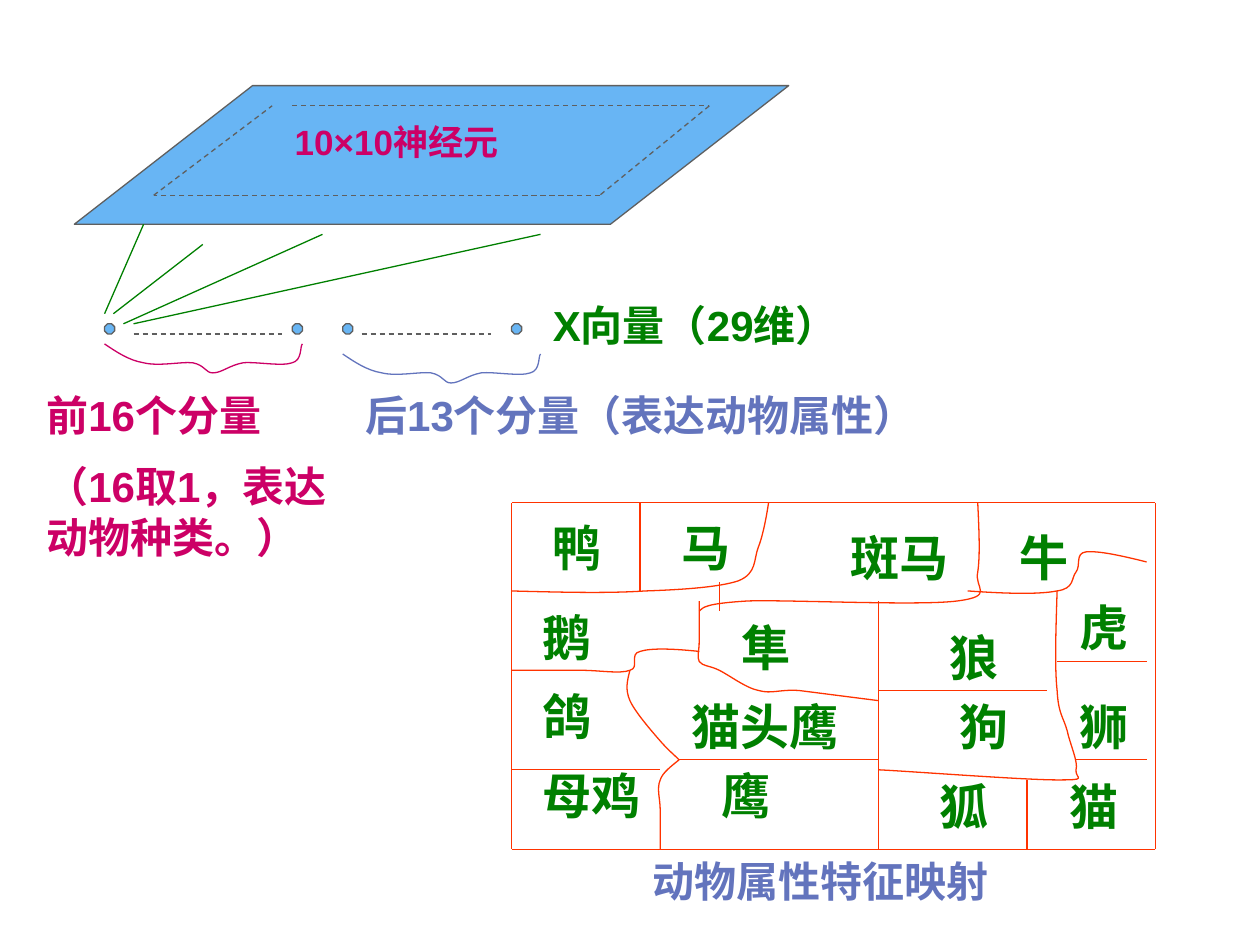
from itertools import pairwise

from lxml.etree import SubElement
from pptx import Presentation
from pptx.dml.color import RGBColor
from pptx.enum.dml import MSO_LINE_DASH_STYLE as DASH
from pptx.enum.shapes import MSO_CONNECTOR, MSO_SHAPE
from pptx.enum.text import MSO_AUTO_SIZE
from pptx.oxml.ns import qn
from pptx.util import Inches, Pt

BLUE, GRAY, GREEN = "68B5F4", "5F5F5F", "008000"
PINK, VIOLET, RED = "CC0066", "6374BD", "FF3300"

INNER_OUTLINE = [(2.32, 0.84), (5.63, 0.84), (4.76, 1.55), (1.22, 1.55), (2.16, 0.84)]
INPUT_NODES = [0.83, 2.32, 2.72, 4.06]
OMITTED_NODES = [((1.06, 2.65), (2.24, 2.65)), ((2.87, 2.65), (3.9, 2.65))]
WEIGHTS = [((0.83, 2.49), (1.14, 1.78)), ((0.9, 2.49), (1.61, 1.94)),
           ((0.98, 2.57), (2.56, 1.86)), ((1.06, 2.57), (4.29, 1.86))]
BRACE = [(0, 0), (0.09, 0.06), (0.19, 0.13), (0.31, 0.15), (0.43, 0.18), (0.61, 0.14),
         (0.7, 0.15), (0.8, 0.17), (0.8, 0.23), (0.86, 0.23), (0.93, 0.23), (0.99, 0.17),
         (1.1, 0.15), (1.2, 0.14), (1.41, 0.18), (1.49, 0.15), (1.57, 0.13), (1.55, 0.02),
         (1.57, 0)]

MAP_FRAME = [(4.06, 3.99), (9.17, 3.99), (9.17, 6.74), (4.06, 6.74), (4.06, 3.99)]
STRAIGHT_BORDERS = [
    ((5.08, 3.99), (5.08, 4.69)), ((5.71, 4.62), (5.71, 4.85)),
    ((6.97, 4.77), (6.97, 6.74)), ((6.97, 5.48), (8.31, 5.48)),
    ((8.15, 6.19), (8.15, 6.74)), ((8.54, 6.03), (9.1, 6.03)),
    ((8.39, 5.25), (9.1, 5.25)), ((6.97, 6.03), (5.39, 6.03)),
    ((4.06, 6.11), (5.24, 6.11))]
CURVED_BORDERS = [
    [(4.06, 4.69), (4.44, 4.7), (4.82, 4.71), (5.12, 4.69), (5.42, 4.68), (5.71, 4.66),
     (5.86, 4.61), (6.01, 4.55), (5.98, 4.44), (6.02, 4.34), (6.06, 4.24), (6.09, 4.06),
     (6.1, 3.99)],
    [(5.55, 4.85), (5.58, 4.82), (5.6, 4.79), (5.94, 4.77), (6.28, 4.76), (7.3, 4.81),
     (7.6, 4.77), (7.9, 4.73), (7.73, 4.67), (7.76, 4.54), (7.78, 4.41), (7.77, 4.2),
     (7.76, 3.99)],
    [(9.1, 4.46), (8.9, 4.41), (8.72, 4.37), (8.62, 4.38), (8.53, 4.39), (8.58, 4.49),
     (8.54, 4.54), (8.5, 4.59), (8.53, 4.67), (8.39, 4.69), (8.24, 4.72), (7.96, 4.71),
     (7.68, 4.69)],
    [(8.39, 4.69), (8.38, 5), (8.37, 5.3), (8.39, 5.48), (8.4, 5.67), (8.44, 5.69),
     (8.47, 5.8), (8.49, 5.9), (8.56, 6.05), (8.54, 6.11), (8.53, 6.18), (8.65, 6.19),
     (8.39, 6.19), (8.12, 6.19), (7.2, 6.12), (6.97, 6.11)],
    [(5.55, 4.77), (5.55, 4.89), (5.55, 5.01), (5.55, 5.09), (5.55, 5.17), (5.53, 5.21),
     (5.55, 5.25), (5.58, 5.29), (5.63, 5.28), (5.71, 5.32), (5.79, 5.36), (5.92, 5.46),
     (6.02, 5.48), (6.13, 5.51), (6.18, 5.47), (6.34, 5.48), (6.5, 5.5), (6.73, 5.53),
     (6.97, 5.56)],
    [(5.55, 5.17), (5.36, 5.15), (5.17, 5.14), (5.08, 5.17), (4.99, 5.19), (5.08, 5.3),
     (5, 5.32), (4.92, 5.35), (4.76, 5.32), (4.61, 5.32), (4.45, 5.32), (4.25, 5.32),
     (4.06, 5.32)],
    [(5, 5.32), (4.98, 5.4), (4.96, 5.47), (5, 5.56), (5.04, 5.65), (5.17, 5.8),
     (5.24, 5.88), (5.3, 5.95), (5.35, 5.99), (5.39, 6.03)],
    [(5.39, 6.03), (5.33, 6.08), (5.26, 6.13), (5.24, 6.19), (5.21, 6.26), (5.24, 6.34),
     (5.24, 6.43), (5.24, 6.52), (5.24, 6.63), (5.24, 6.74)]]
ANIMALS = [
    ("鸭", 4.29, 4.06, 0.55), ("鹅", 4.21, 4.77, 0.63), ("鸽", 4.21, 5.4, 1.02),
    ("母鸡", 4.21, 6.03, 1.02), ("马", 5.31, 4.06, 0.79), ("斑马", 6.65, 4.14, 1.34),
    ("牛", 7.99, 4.14, 0.71), ("隼", 5.79, 4.85, 1.1), ("狼", 7.44, 4.93, 0.71),
    ("虎", 8.47, 4.69, 0.63), ("狮", 8.47, 5.48, 0.71), ("猫", 8.39, 6.11, 0.71),
    ("狗", 7.52, 5.48, 0.55), ("狐", 7.36, 6.11, 0.87), ("猫头鹰", 5.39, 5.48, 1.5),
    ("鹰", 5.63, 6.03, 1.18)]


def rgb(color):
    """Turn a hex string into a colour."""
    return RGBColor.from_string(color)


def style_line(line, color):
    """Give a line its colour and the common width."""
    line.color.rgb = rgb(color)
    line.width = Pt(0.75)


def add_label(slide, text, left, top, width, height=0.5, size=24, color=GREEN):
    """Add a bold text box with one paragraph for each line of the text."""
    label = slide.shapes.add_textbox(*map(Inches, (left, top, width, height)))
    frame = label.text_frame
    frame.word_wrap = True
    frame.auto_size = MSO_AUTO_SIZE.SHAPE_TO_FIT_TEXT
    frame.text = text
    for index, paragraph in enumerate(frame.paragraphs):
        if index:
            paragraph.space_before = Pt(size / 2)
        font = paragraph.font
        font.name, font.size, font.bold = "Arial", Pt(size), True
        font.color.rgb = rgb(color)


def add_line(slide, start, end, color, dashed=False):
    """Add a straight line between two points."""
    line = slide.shapes.add_connector(
        MSO_CONNECTOR.STRAIGHT, *map(Inches, (*start, *end)))
    style_line(line.line, color)
    if dashed:
        line.line.dash_style = DASH.DASH
    SubElement(line._element.spPr, qn("a:effectLst"))


def add_curve(slide, points, color):
    """Add an open Bézier curve from a start and triples of control points."""
    start, *controls = [(Inches(x), Inches(y)) for x, y in points]
    builder = slide.shapes.build_freeform(*start)
    builder.add_line_segments(controls, close=False)
    curve = builder.convert_to_shape()
    curve.shadow.inherit = False
    curve.fill.background()
    style_line(curve.line, color)
    outline = next(curve._element.iter(qn("a:path")))
    segments = outline.findall(qn("a:lnTo"))
    for first in range(0, len(segments), 3):
        bezier = SubElement(outline, qn("a:cubicBezTo"))
        for segment in segments[first:first + 3]:
            bezier.append(segment[0])
            outline.remove(segment)


def add_preset(slide, kind, left, top, width, height, adjustment):
    """Add a blue preset shape with a thin grey outline."""
    shape = slide.shapes.add_shape(kind, *map(Inches, (left, top, width, height)))
    shape.adjustments[0] = adjustment
    shape.shadow.inherit = False
    shape.fill.solid()
    shape.fill.fore_color.rgb = rgb(BLUE)
    style_line(shape.line, GRAY)


def add_network(slide):
    """Draw the neuron layer above the input vector."""
    add_preset(slide, MSO_SHAPE.PARALLELOGRAM, 0.59, 0.68, 5.67, 1.1, 1.286)
    for start, end in [*pairwise(INNER_OUTLINE), *OMITTED_NODES]:
        add_line(slide, start, end, GRAY, dashed=True)
    add_label(slide, "10×10神经元", 2.24, 0.91, 2.52, 0.43, size=20, color=PINK)
    for left in INPUT_NODES:
        add_preset(slide, MSO_SHAPE.OCTAGON, left, 2.57, 0.08, 0.08, 0.293)
    for start, end in WEIGHTS:
        add_line(slide, start, end, GREEN)
    for left, top, color in [(0.83, 2.73, PINK), (2.72, 2.81, VIOLET)]:
        add_curve(slide, [(left + x, top + y) for x, y in BRACE], color)
    add_label(slide, "X向量（29维）", 4.29, 2.33, 2.76)
    add_label(slide, "前16个分量\n（16取1，表达动物种类。）", 0.27, 3.04, 2.6, 1.5, color=PINK)
    add_label(slide, "后13个分量（表达动物属性）", 2.8, 3.04, 4.88, color=VIOLET)


def add_animal_map(slide):
    """Draw the feature map with its regions and animals."""
    for animal, left, top, width in ANIMALS:
        add_label(slide, animal, left, top, width, 0.57, size=28)
    for start, end in [*pairwise(MAP_FRAME), *STRAIGHT_BORDERS]:
        add_line(slide, start, end, RED)
    for border in CURVED_BORDERS:
        add_curve(slide, border, RED)
    add_label(slide, "动物属性特征映射", 5.08, 6.74, 3.31, color=VIOLET)


def main():
    """Build and save the slide."""
    presentation = Presentation()
    presentation.slide_width, presentation.slide_height = Inches(10), Inches(7.5)
    slide = presentation.slides.add_slide(presentation.slide_layouts[6])
    add_network(slide)
    add_animal_map(slide)
    presentation.save("out.pptx")


if __name__ == "__main__":
    main()
